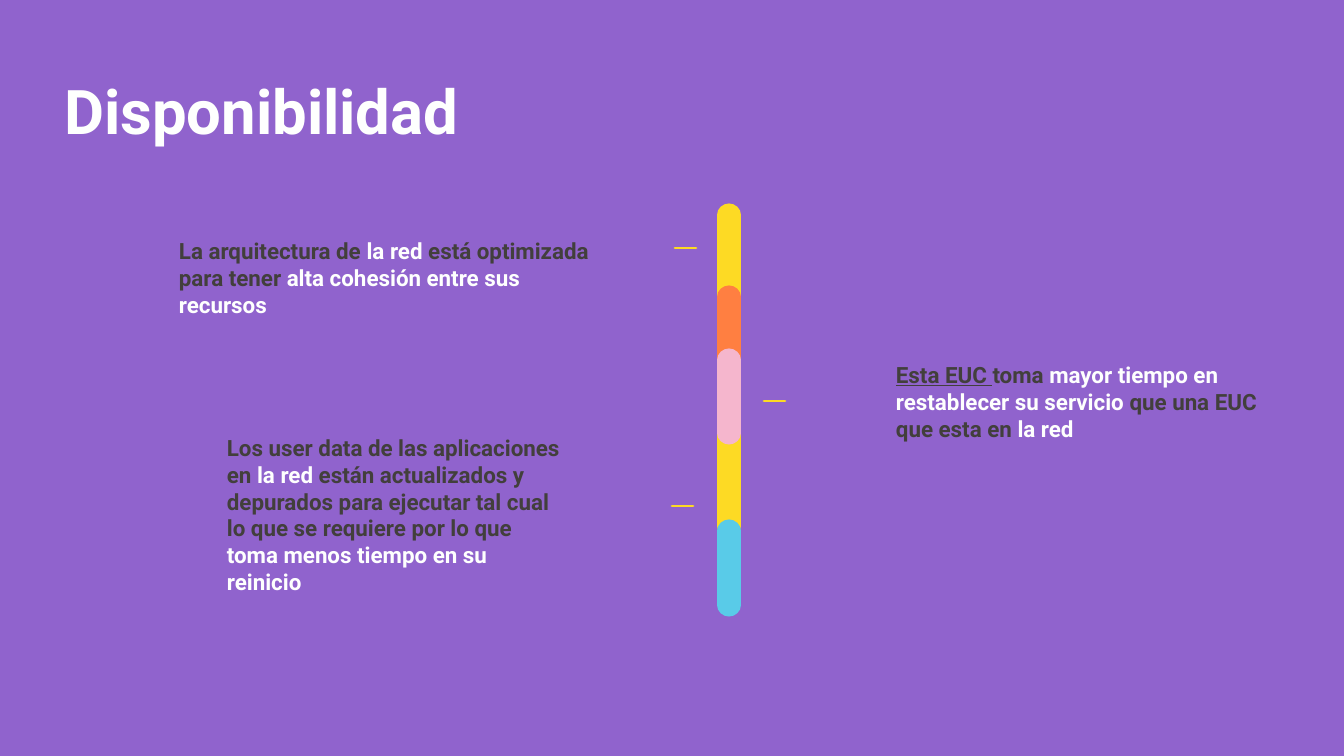
from lxml import etree
from pptx import Presentation
from pptx.dml.color import RGBColor
from pptx.enum.shapes import MSO_CONNECTOR
from pptx.enum.text import MSO_ANCHOR, MSO_AUTO_SIZE, PP_ALIGN
from pptx.oxml.ns import qn
from pptx.util import Pt

STRAIGHT = MSO_CONNECTOR.STRAIGHT
TOP = MSO_ANCHOR.TOP
LEFT = PP_ALIGN.LEFT
GROW = MSO_AUTO_SIZE.SHAPE_TO_FIT_TEXT

EMU_PER_PX = 914400 / 100.8
FONT = "Roboto"
AXIS_X = 729
AXIS_WIDTH = 16.5
TICK_LENGTH = 21
TICK_WIDTH = 2
COLORS = {
    "purple": "9063CD",
    "white": "FEFFFE",
    "dark": "423F3C",
    "yellow": "FDDA24",
    "orange": "FF7F41",
    "blue": "59CBE8",
    "pink": "F5B6CD",
}

SEGMENTS = [
    ("yellow", 215, 526),
    ("orange", 297, 370),
    ("blue", 531, 605),
    ("pink", 360, 433),
]
TICKS = [(675, 248), (764, 401), (672, 506)]
NOTES = [
    ((169, 232, 433, 65), [
        ("La arquitectura de ", {}),
        ("la red", {"color": "white"}),
        (" está optimizada para tener ", {}),
        ("alta cohesión entre sus recursos", {"color": "white"}),
    ]),
    ((886, 356, 388, 92), [
        ("Esta EUC ", {"underline": True}),
        ("toma ", {}),
        ("mayor tiempo en restablecer su servicio", {"color": "white"}),
        (" que una EUC que esta en ", {}),
        ("la red", {"color": "white"}),
    ]),
    ((217, 429, 353, 146), [
        ("Los user data de las aplicaciones en ", {}),
        ("la red", {"color": "white"}),
        (" están actualizados y depurados para ejecutar tal cual "
         "lo que se requiere por lo que ", {}),
        ("toma menos tiempo en su reinicio", {"color": "white"}),
    ]),
]


def px(n):
    """Turn pixels into EMU."""
    return round(n * EMU_PER_PX)


def rgb(name):
    """Look up a named colour."""
    return RGBColor.from_string(COLORS[name])


def add_run(p, text, size=16, color="dark", bold=True, underline=False):
    """Append a formatted run to a paragraph."""
    r = p.add_run()
    r.text = text
    r.font.name = FONT
    r.font.size = Pt(size)
    r.font.bold = bold
    r.font.underline = underline
    r.font.color.rgb = rgb(color)


def set_frame(tf):
    """Make a frame wrap and grow, and return its first paragraph."""
    tf.word_wrap = True
    tf.auto_size = GROW
    tf.vertical_anchor = TOP
    p = tf.paragraphs[0]
    p.alignment = LEFT
    return p


def add_title(s, text, x, y, w, h):
    """Place and format the slide title."""
    sp = s.shapes.title
    sp.left, sp.top, sp.width, sp.height = map(px, (x, y, w, h))
    add_run(set_frame(sp.text_frame), text, size=44, color="white")


def add_note(s, box, runs):
    """Add a text box of mixed-colour runs."""
    sp = s.shapes.add_textbox(*map(px, box))
    p = set_frame(sp.text_frame)
    for text, style in runs:
        add_run(p, text, **style)


def add_line(s, x1, y1, x2, y2, color, width):
    """Add a round-capped line without shadow."""
    sp = s.shapes.add_connector(STRAIGHT, *map(px, (x1, y1, x2, y2)))
    sp.line.color.rgb = rgb(color)
    sp.line.width = Pt(width)
    props = sp._element.spPr
    props.find(qn("a:ln")).set("cap", "rnd")
    etree.SubElement(props, qn("a:effectLst"))


def main():
    """Build the slide and save it."""
    prs = Presentation()
    prs.slide_width, prs.slide_height = px(1344), px(756)
    s = prs.slides.add_slide(prs.slide_layouts[5])
    s.background.fill.solid()
    s.background.fill.fore_color.rgb = rgb("purple")
    add_title(s, "Disponibilidad", 54, 68, 536, 85)
    for box, runs in NOTES:
        add_note(s, box, runs)
    for color, top, bottom in SEGMENTS:
        add_line(s, AXIS_X, top, AXIS_X, bottom, color, AXIS_WIDTH)
    for x, y in TICKS:
        add_line(s, x, y, x + TICK_LENGTH, y, "yellow", TICK_WIDTH)
    prs.save("out.pptx")


if __name__ == "__main__":
    main()
